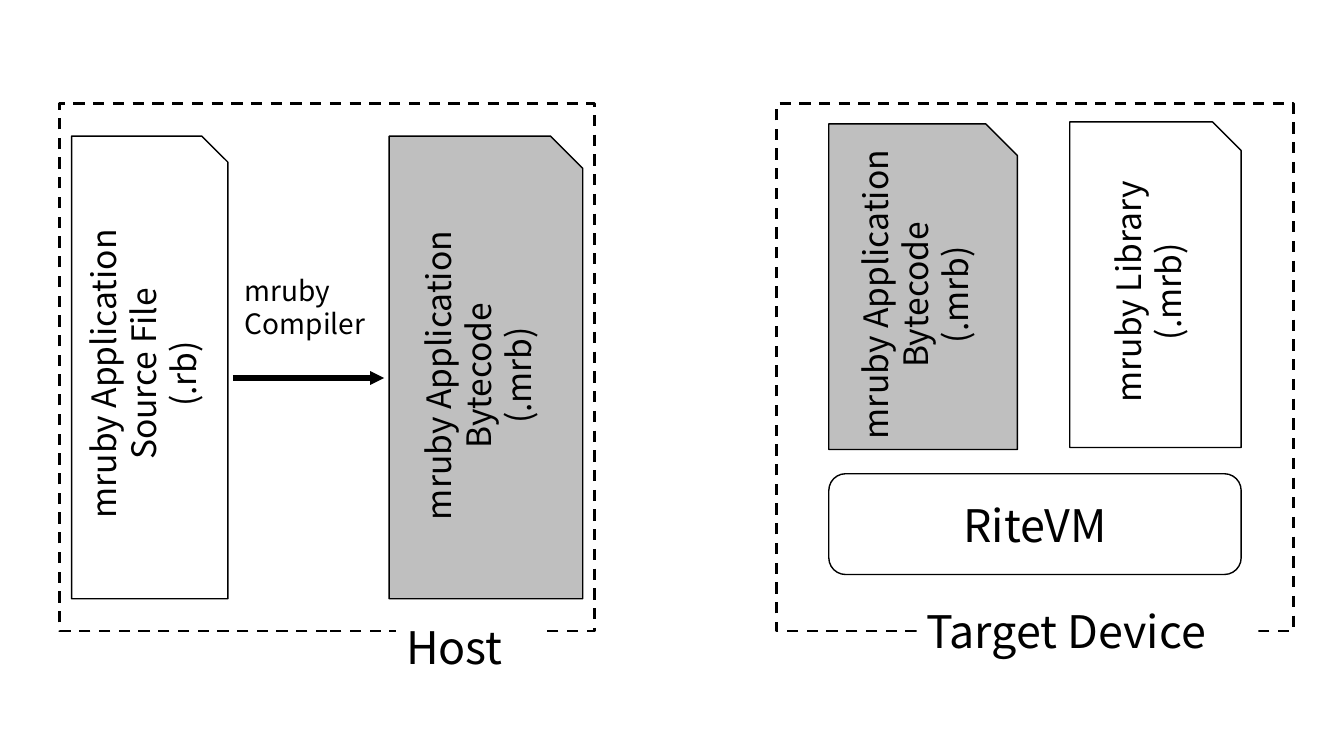
import pptx
import pptx.util
import pptx.dml.color
import pptx.enum.dml
import pptx.enum.shapes
import pptx.enum.text
import pptx.oxml
import pptx.oxml.ns
from pptx.util import Inches

BLACK = pptx.dml.color.RGBColor(0, 0, 0)
WHITE = pptx.dml.color.RGBColor(255, 255, 255)
GREY = pptx.dml.color.RGBColor(0xBF, 0xBF, 0xBF)
FONT = "Noto Sans CJK JP"
SHAPE = pptx.enum.shapes.MSO_SHAPE
ALIGN = pptx.enum.text.PP_ALIGN
ANCHOR = pptx.enum.text.MSO_ANCHOR
BYTECODE = ["mruby Application Bytecode", "(.mrb)"]


def add_element(parent, tag, **attributes):
    element = parent.makeelement(pptx.oxml.ns.qn(tag), attributes)
    parent.append(element)
    return element


def write(item, lines, size, align=ALIGN.LEFT, anchor=ANCHOR.TOP):
    frame = item.text_frame
    frame.word_wrap = True
    frame.vertical_anchor = anchor
    frame.text = "\n".join(lines)
    for paragraph in frame.paragraphs:
        paragraph.alignment = align
        for run in paragraph.runs:
            run.font.size = pptx.util.Pt(size)
            run.font.name = FONT
            run.font.color.rgb = BLACK
            add_element(run.font._element, "a:ea", typeface=FONT)


def add_box(slide, kind, left, top, width, height, fill=None, line=1):
    box = slide.shapes.add_shape(kind, Inches(left), Inches(top), Inches(width), Inches(height))
    box.shadow.inherit = False
    if fill is None:
        box.fill.background()
    else:
        box.fill.solid()
        box.fill.fore_color.rgb = fill
    if line:
        box.line.color.rgb = BLACK
        box.line.width = pptx.util.Pt(line)
    else:
        box.line.fill.background()
    return box


def add_file(slide, left, top, width, height, lines, fill=WHITE):
    """Page with a cut corner and text that reads upwards."""
    page = add_box(slide, SHAPE.SNIP_1_RECTANGLE, left, top, width, height, fill)
    write(page, lines, 24, ALIGN.CENTER, ANCHOR.MIDDLE)
    page.text_frame._txBody.bodyPr.set("vert", "vert270")


def add_frame(slide, left, top, width, height, name, name_left, name_top, name_width):
    """Dashed frame whose lower edge is broken by its name."""
    frame = add_box(slide, SHAPE.RECTANGLE, left, top, width, height, line=2)
    frame.line.dash_style = pptx.enum.dml.MSO_LINE.DASH
    label = add_box(slide, SHAPE.RECTANGLE, left + name_left, top + name_top,
                    name_width, 0.64, WHITE, line=0)
    write(label, [name], 32)


def add_compiler_arrow(slide, left, top, width):
    arrow = slide.shapes.add_connector(
        pptx.enum.shapes.MSO_CONNECTOR.STRAIGHT,
        Inches(left), Inches(top), Inches(left + width), Inches(top))
    arrow.line.color.rgb = BLACK
    arrow.line.width = pptx.util.Pt(5)
    add_element(arrow.line._get_or_add_ln(), "a:tailEnd", type="triangle", w="sm", len="sm")
    add_element(arrow._element.spPr, "a:effectLst")

    caption = slide.shapes.add_textbox(
        Inches(left + 0.02), Inches(top - 1.09), Inches(1.54), Inches(0.77))
    write(caption, ["mruby Compiler"], 20)


def add_host(slide, left, top, width, height):
    add_frame(slide, left, top, width, height, "Host", 3.34, 5.07, 1.46)
    file_top, file_height = top + 0.32, 4.59
    add_file(slide, left + 3.27, file_top, 1.92, file_height, BYTECODE, GREY)
    add_file(slide, left + 0.12, file_top, 1.55, file_height,
             ["mruby Application", "Source File", "(.rb)"])
    add_compiler_arrow(slide, left + 1.72, top + 2.72, 1.5)


def add_target_device(slide, left, top, width, height):
    add_frame(slide, left, top, width, height, "Target Device", 1.39, 4.91, 3.39)
    # Virtual machine below the files it runs
    machine = add_box(slide, SHAPE.ROUNDED_RECTANGLE, left + 0.52, top + 3.67, 4.09, 1, WHITE)
    write(machine, ["RiteVM"], 32, ALIGN.CENTER, ANCHOR.MIDDLE)
    add_file(slide, left + 2.91, top + 0.18, 1.7, 3.23, ["mruby Library", "(.mrb)"])
    add_file(slide, left + 0.52, top + 0.2, 1.87, 3.23, BYTECODE, GREY)


def main():
    deck = pptx.Presentation()
    deck.slide_width, deck.slide_height = Inches(13.33), Inches(7.5)
    slide = deck.slides.add_slide(deck.slide_layouts[6])
    add_host(slide, 0.59, 1.03, 5.31, 5.23)
    add_target_device(slide, 7.7, 1.03, 5.13, 5.23)
    deck.save("out.pptx")


if __name__ == "__main__":
    main()
